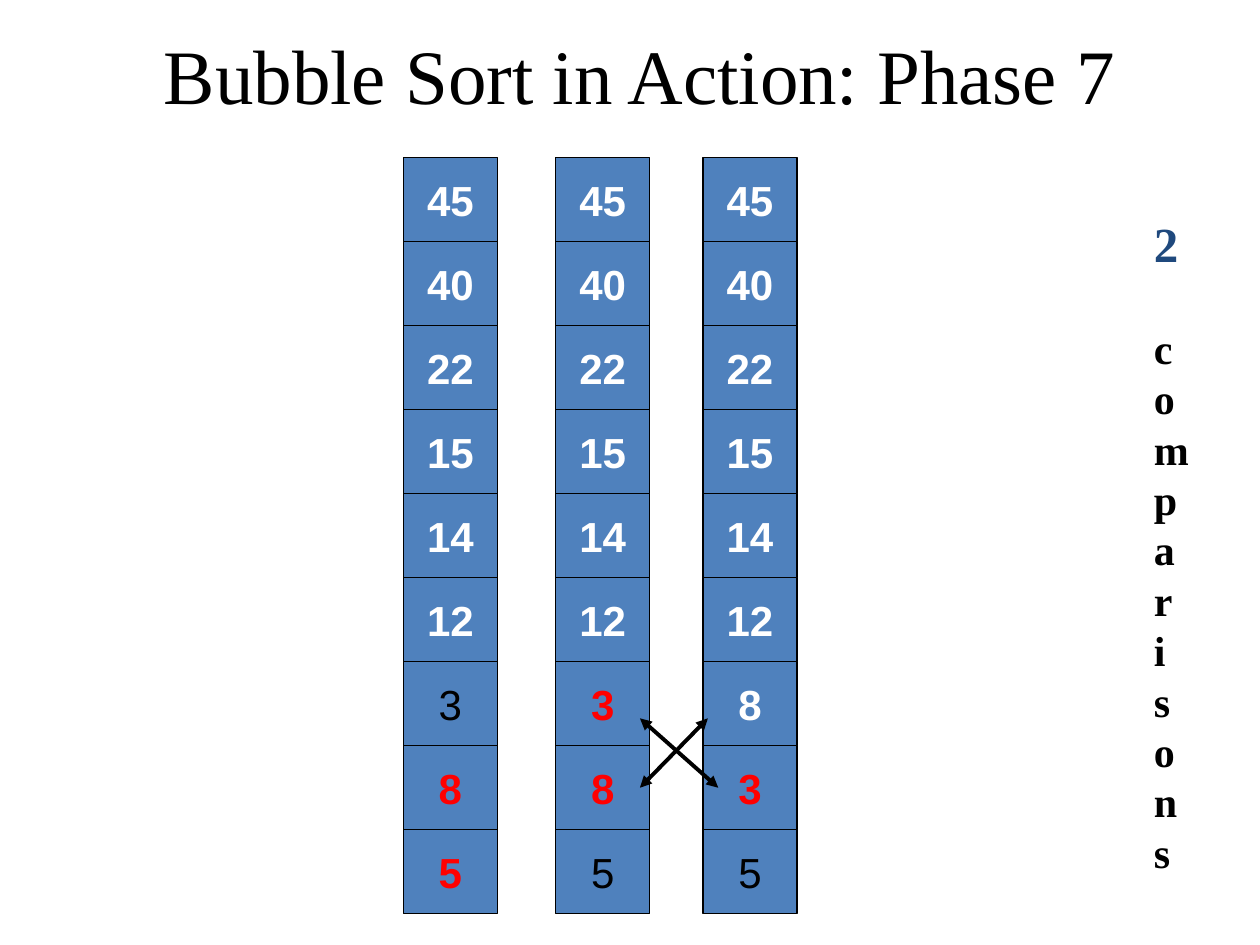
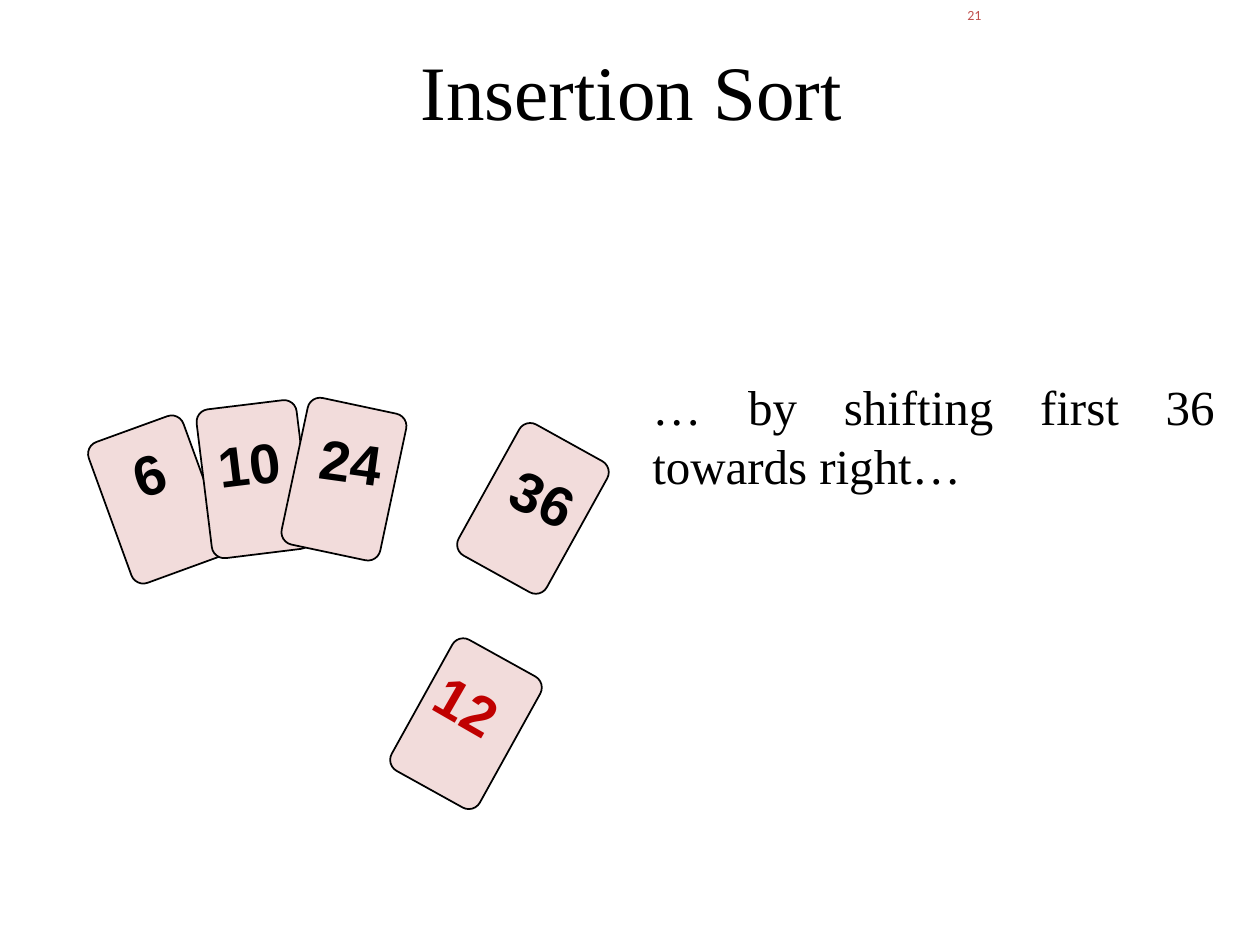
import pptx
import pptx.util
from lxml import etree
from pptx.dml.color import RGBColor
from pptx.enum.shapes import MSO_CONNECTOR, MSO_SHAPE
from pptx.enum.text import MSO_ANCHOR, PP_ALIGN
from pptx.oxml.ns import qn
from pptx.util import Cm

SERIF, SANS, NUMBER_FONT = "Times New Roman", "Arial", "Calibri"
BLACK, WHITE, RED, DARK_RED = "000000", "FFFFFF", "FF0000", "C00000"
NAVY, CELL_BLUE, CARD_PINK, NUMBER_RED = "1F497D", "4F81BD", "F2DCDB", "C0504D"

CELL_WIDTH, CELL_HEIGHT, COLUMN_TOP = 1.9, 15.24 / 9, 3.18
CARD_WIDTH, CARD_HEIGHT = 2.03, 3.02

# left edge, values from top to bottom, how many are sorted, values compared
COLUMNS = [
    (8.13, [45, 40, 22, 15, 14, 12, 3, 8, 5], 6, {8, 5}),
    (11.2, [45, 40, 22, 15, 14, 12, 3, 8, 5], 6, {3, 8}),
    (14.17, [45, 40, 22, 15, 14, 12, 8, 3, 5], 7, {3}),
]
# number, colour, card (left, top, angle), label (left, top, angle)
CARDS = [
    ("6", BLACK, (2.16, 8.56, 340), (2.44, 8.74, 341)),
    ("10", BLACK, (4.11, 8.15, 353), (4.14, 8.53, 353)),
    ("24", BLACK, (5.92, 8.15, 12), (6.2, 8.48, 8)),
    ("36", BLACK, (9.73, 8.74, 29), (10.08, 9.22, 25)),
    ("12", DARK_RED, (8.38, 13.08, 29), (8.56, 13.41, 30)),
]


def color(hex_string):
    return RGBColor.from_string(hex_string)


def set_font(font, name, size, hex_string, bold=False):
    font.name = name
    font.size = pptx.util.Pt(size)
    font.bold = bold
    font.color.rgb = color(hex_string)


def add_text(slide, left, top, width, height, text, font, align=PP_ALIGN.LEFT,
             anchor=MSO_ANCHOR.TOP, wrap=True):
    """Add a one-paragraph text box; font holds the arguments of set_font."""
    box = slide.shapes.add_textbox(Cm(left), Cm(top), Cm(width), Cm(height))
    box.text_frame.word_wrap = wrap
    box.text_frame.vertical_anchor = anchor
    paragraph = box.text_frame.paragraphs[0]
    paragraph.text = text
    paragraph.alignment = align
    set_font(paragraph.font, *font)
    return box


def add_title(slide, left, top, width, height, text):
    add_text(slide, left, top, width, height, text, (SERIF, 44, BLACK),
             PP_ALIGN.CENTER, MSO_ANCHOR.BOTTOM)


def add_box(slide, kind, left, top, width, height, fill, line_width):
    shape = slide.shapes.add_shape(kind, Cm(left), Cm(top), Cm(width), Cm(height))
    shape.shadow.inherit = False
    shape.fill.solid()
    shape.fill.fore_color.rgb = color(fill)
    shape.line.color.rgb = color(BLACK)
    shape.line.width = pptx.util.Pt(line_width)
    return shape


def add_column(slide, left, values, sorted_count, compared):
    for row, value in enumerate(values):
        cell = add_box(slide, MSO_SHAPE.RECTANGLE, left, COLUMN_TOP + row * CELL_HEIGHT,
                       CELL_WIDTH, CELL_HEIGHT, CELL_BLUE, 0.75)
        cell.text_frame.word_wrap = False
        cell.text_frame.vertical_anchor = MSO_ANCHOR.MIDDLE
        paragraph = cell.text_frame.paragraphs[0]
        paragraph.text = str(value)
        paragraph.alignment = PP_ALIGN.CENTER
        if row < sorted_count:
            font_color = WHITE
        else:
            font_color = RED if value in compared else BLACK
        set_font(paragraph.font, SANS, 24, font_color, font_color != BLACK)


def add_double_arrow(slide, start_x, start_y, end_x, end_y):
    arrow = slide.shapes.add_connector(MSO_CONNECTOR.STRAIGHT, Cm(start_x), Cm(start_y),
                                       Cm(end_x), Cm(end_y))
    arrow.line.color.rgb = color(BLACK)
    arrow.line.width = pptx.util.Pt(2.25)
    line = arrow.line._get_or_add_ln()
    for end in ("a:headEnd", "a:tailEnd"):
        etree.SubElement(line, qn(end), type="triangle")
    etree.SubElement(arrow._element.spPr, qn("a:effectLst"))


def add_card(slide, number, font_color, card_place, label_place):
    left, top, angle = card_place
    card = add_box(slide, MSO_SHAPE.ROUNDED_RECTANGLE, left, top,
                   CARD_WIDTH, CARD_HEIGHT, CARD_PINK, 1)
    card.adjustments[0] = 0.125
    card.rotation = angle
    left, top, angle = label_place
    label = add_text(slide, left, top, 0.51 + 0.63 * len(number), 1.6, number,
                     (SANS, 32, font_color, True), wrap=False)
    label.rotation = angle


def build_bubble_sort(slide):
    add_title(slide, 1.4, 0.41, 23.01, 2.13, "Bubble Sort in Action: Phase 7")
    # The box is one letter wide, so the words run downwards.
    count = add_text(slide, 23.01, 4.17, 0.99, 13.64, "2", (SERIF, 28, NAVY, True))
    unit = count.text_frame.paragraphs[0].add_run()
    unit.text = " comparisons"
    set_font(unit.font, SERIF, 24, BLACK, True)
    for column in COLUMNS:
        add_column(slide, *column)
    add_double_arrow(slide, 12.9, 14.48, 14.48, 15.88)
    add_double_arrow(slide, 14.27, 14.48, 12.9, 15.88)


def build_insertion_sort(slide):
    add_text(slide, 19.25, 0, 2.67, 1.27, "21", (NUMBER_FONT, 8, NUMBER_RED))
    add_title(slide, 4.55, 0.53, 16.36, 2.34, "Insertion Sort")
    for card in CARDS:
        add_card(slide, *card)
    add_text(slide, 12.9, 7.47, 11.84, 2.64, "… by shifting first 36 towards right…",
             (SERIF, 28, BLACK), PP_ALIGN.JUSTIFY)


def main():
    presentation = pptx.Presentation()
    presentation.slide_width, presentation.slide_height = Cm(25.4), Cm(19.05)
    blank_layout = presentation.slide_layouts[6]
    for build in (build_bubble_sort, build_insertion_sort):
        build(presentation.slides.add_slide(blank_layout))
    presentation.save("out.pptx")


if __name__ == "__main__":
    main()
